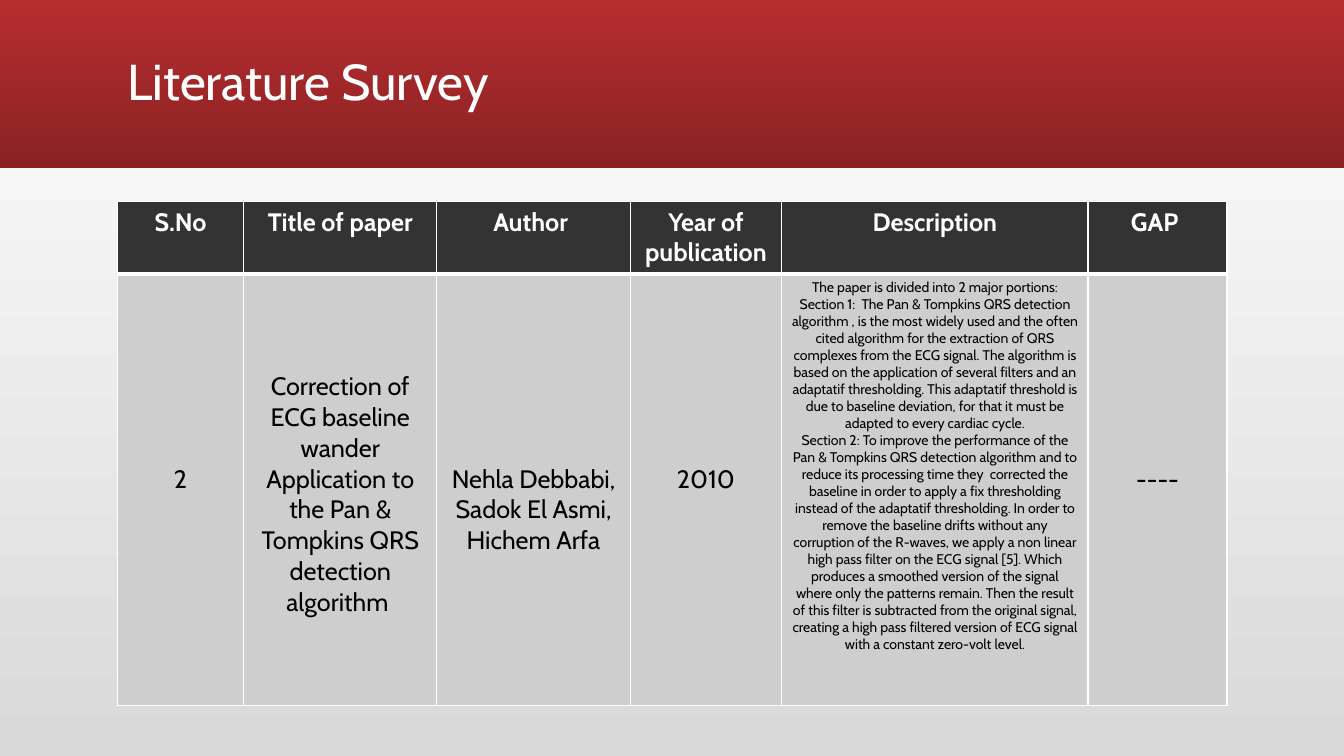
from dataclasses import dataclass

from lxml.etree import SubElement
from pptx import Presentation
from pptx.dml.color import RGBColor
from pptx.enum.shapes import MSO_SHAPE as Shape
from pptx.enum.text import MSO_ANCHOR as Anchor, PP_ALIGN as Align
from pptx.oxml.ns import qn
from pptx.util import Cm, Pt


@dataclass(frozen=True)
class Theme:
    font: str = "Cabin"
    white: str = "FFFFFF"
    black: str = "000000"
    page_bottom: str = "D9D9D9"
    band_top: str = "B82D2F"
    band_bottom: str = "8A2223"
    header: str = "333333"
    body: str = "CECECE"
    title_size: int = 36
    cell_size: int = 18
    small_size: int = 10
    thin: float = 1
    thick: float = 3


WIDTH, HEIGHT = 33.87, 19.05
BAND_HEIGHT = 4.23
LEFT = 2.96
CELL_INSET = 0.13
LINE = 0.774  # height of one table line at the normal cell size, in cm
COLUMNS = (3.18, 4.87, 4.87, 3.82, 7.72, 3.5)
ROWS = (1.83, 10.87)

HEADINGS = ("S.No", "Title of paper", "Author ", "Year of publication",
            "Description", "GAP ")

DESCRIPTION = (
    "The paper is divided into 2 major portions:",
    "Section 1:  The Pan & Tompkins QRS detection algorithm , is the most widely "
    "used and the often cited algorithm for the extraction of QRS complexes from "
    "the ECG signal. The algorithm is based on the application of several filters "
    "and an adaptatif thresholding. This adaptatif threshold is due to baseline "
    "deviation, for that it must be adapted to every cardiac cycle.",
    "Section 2: To improve the performance of the Pan & Tompkins QRS detection "
    "algorithm and to reduce its processing time they  corrected the baseline in "
    "order to apply a fix thresholding instead of the adaptatif thresholding. In "
    "order to remove the baseline drifts without any corruption of the R-waves, we "
    "apply a non linear high pass filter on the ECG signal [5]. Which produces a "
    "smoothed version of the signal where only the patterns remain. Then the "
    "result of this filter is subtracted from the original signal, creating a high "
    "pass filtered version of ECG signal with a constant zero-volt level.",
)

# Each entry: paragraphs, lines left free above them
PAPER = (
    (("2",), 6),
    (("Correction of ECG baseline wander Application to the Pan & Tompkins QRS "
      "detection algorithm ",), 3),
    (("Nehla Debbabi, Sadok El Asmi, Hichem Arfa",), 6),
    (("2010",), 6),
    (DESCRIPTION, 0),
    (("----",), 6),
)


class SlideBuilder:
    def __init__(self, prs, theme):
        self.theme = theme
        self.s = prs.slides.add_slide(prs.slide_layouts[6])

    def gradient(self, fill, top, bottom):
        fill.gradient()
        fill.gradient_angle = 270
        for stop, color in zip(fill.gradient_stops, (top, bottom)):
            stop.color.rgb = RGBColor.from_string(color)

    def background(self):
        self.gradient(self.s.background.fill, self.theme.white, self.theme.page_bottom)

    def band(self):
        sp = self.s.shapes.add_shape(Shape.RECTANGLE, 0, 0, Cm(WIDTH), Cm(BAND_HEIGHT))
        sp.shadow.inherit = False
        sp.line.fill.background()
        self.gradient(sp.fill, self.theme.band_top, self.theme.band_bottom)

    def run(self, p, text, size, color, bold=False):
        r = p.add_run()
        r.text = text
        r.font.name = self.theme.font
        r.font.size = Pt(size)
        r.font.bold = bold
        r.font.color.rgb = RGBColor.from_string(color)

    def title(self, text):
        sp = self.s.shapes.add_textbox(Cm(LEFT), Cm(0.28), Cm(27.94), Cm(3.68))
        tf = sp.text_frame
        tf.word_wrap = True
        tf.vertical_anchor = Anchor.MIDDLE
        p = tf.paragraphs[0]
        p.line_spacing = 0.9
        self.run(p, text, self.theme.title_size, self.theme.white)

    def borders(self, cell, top, bottom):
        tc_pr = cell._tc.get_or_add_tcPr()
        thin = self.theme.thin
        for side, width in zip("LRTB", (thin, thin, top, bottom)):
            ln = SubElement(tc_pr, qn(f"a:ln{side}"), w=str(Pt(width)))
            fill = SubElement(ln, qn("a:solidFill"))
            SubElement(fill, qn("a:srgbClr"), val=self.theme.white)

    def cell(self, cell, paragraphs, fill, size, color, bold=False, lines_above=0):
        cell.margin_top = Cm(CELL_INSET + lines_above * LINE)
        cell.fill.solid()
        cell.fill.fore_color.rgb = RGBColor.from_string(fill)
        tf = cell.text_frame
        for i, text in enumerate(paragraphs):
            p = tf.add_paragraph() if i else tf.paragraphs[0]
            p.alignment = Align.CENTER
            self.run(p, text, size, color, bold)

    def table(self, headings, entries):
        t = self.theme
        table = self.s.shapes.add_table(
            len(ROWS), len(COLUMNS), Cm(LEFT), Cm(5.08),
            Cm(sum(COLUMNS)), Cm(sum(ROWS))).table
        table.horz_banding = False
        for column, width in zip(table.columns, COLUMNS):
            column.width = Cm(width)
        for row, height in zip(table.rows, ROWS):
            row.height = Cm(height)
        for i, (heading, (paragraphs, lines)) in enumerate(zip(headings, entries)):
            head, body = table.cell(0, i), table.cell(1, i)
            self.borders(head, t.thin, t.thick)
            self.borders(body, t.thick, t.thin)
            self.cell(head, (heading,), t.header, t.cell_size, t.white, bold=True)
            size = t.small_size if paragraphs is DESCRIPTION else t.cell_size
            self.cell(body, paragraphs, t.body, size, t.black, lines_above=lines)


def main():
    prs = Presentation()
    prs.slide_width, prs.slide_height = Cm(WIDTH), Cm(HEIGHT)
    slide = SlideBuilder(prs, Theme())
    slide.background()
    slide.band()
    slide.title("Literature Survey")
    slide.table(HEADINGS, PAPER)
    prs.save("out.pptx")


if __name__ == "__main__":
    main()
